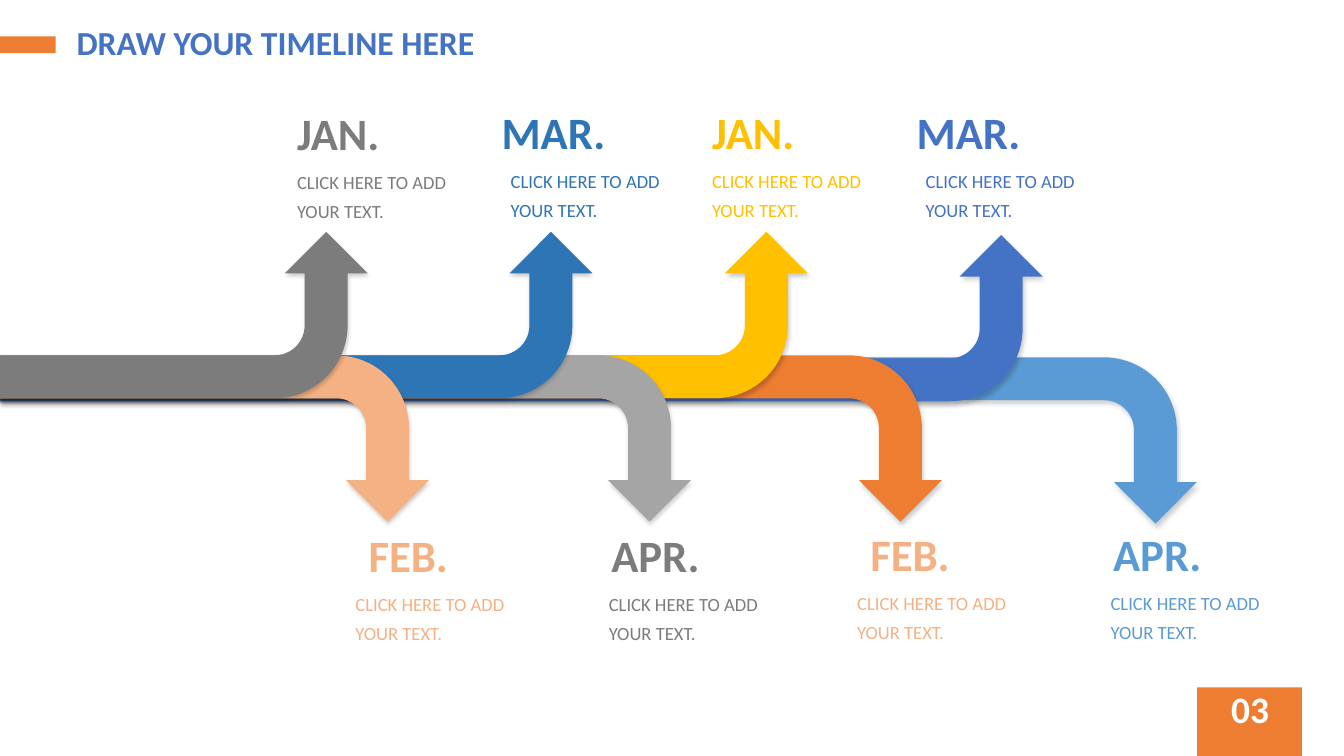
from lxml import etree
from pptx import Presentation
from pptx.dml.color import RGBColor
from pptx.enum.shapes import MSO_SHAPE
from pptx.enum.text import MSO_ANCHOR, MSO_AUTO_SIZE, PP_ALIGN
from pptx.oxml.ns import qn
from pptx.util import Pt

RECT, BENT = MSO_SHAPE.RECTANGLE, MSO_SHAPE.BENT_ARROW
TOP, MIDDLE = MSO_ANCHOR.TOP, MSO_ANCHOR.MIDDLE
LEFT, CENTER = PP_ALIGN.LEFT, PP_ALIGN.CENTER
NO_FIT, GROW = MSO_AUTO_SIZE.NONE, MSO_AUTO_SIZE.SHAPE_TO_FIT_TEXT

TITLE = "DRAW YOUR TIMELINE HERE"
PAGE = "03"
BODY = "CLICK HERE TO ADD YOUR TEXT."
FONT = "Calibri"
ORANGE, PEACH, GRAY, BLUE, SKY = "ED7D31", "F4B183", "7C7C7C", "4472C4", "5B9BD5"
NAVY, GOLD, SILVER = "2E75B6", "FFC000", "A5A5A5"

# month, points up, arrow colour, text colour, arrow length, arrow top, label left, label top
STEPS = [
    ("JAN.", True, GRAY, GRAY, 262.8, 165.6, 205.2, 72),
    ("FEB.", False, PEACH, PEACH, 306.7, 253.8, 256.3, 373),
    ("MAR.", True, NAVY, NAVY, 423.4, 165.6, 351.4, 71.3),
    ("APR.", False, SILVER, GRAY, 493.9, 253.8, 429.8, 373),
    ("JAN.", True, GOLD, GOLD, 577.4, 165.6, 501.8, 71.3),
    ("FEB.", False, ORANGE, PEACH, 673.2, 253.8, 614.9, 372.2),
    ("MAR.", True, BLUE, BLUE, 745.2, 167.8, 648, 71.3),
    ("APR.", False, SKY, SKY, 855.4, 255.2, 788.4, 372.2),
]
# month: (heading width, body text offset from heading)
MONTHS = {"JAN.": (74.2, 0), "FEB.": (72, -9.4), "MAR.": (89.3, 6.5), "APR.": (78.5, -1.8)}
ARROW_H = 118.8
ARROW_ADJ = (0.258, 0.25, 0.25, 0.438)
HEAD_H, BODY_W, BODY_H, BODY_DROP = 46, 146.2, 49, 41.8


def rgb(hex_code):
    """Return a colour from its hex string."""
    return RGBColor.from_string(hex_code)


def add_block(kind, x, y, w, h, color):
    """Add a filled shape without line or inherited shadow."""
    sp = s.shapes.add_shape(kind, Pt(x), Pt(y), Pt(w), Pt(h))
    sp.fill.solid()
    sp.fill.fore_color.rgb = rgb(color)
    sp.line.fill.background()
    sp.shadow.inherit = False
    return sp


def add_shadow(sp):
    """Give a shape a soft shadow straight below it."""
    effects = sp.element.spPr.find(qn("a:effectLst"))
    shadow = etree.SubElement(effects, qn("a:outerShdw"), blurRad=str(Pt(3.1)),
                              dist=str(Pt(1.8)), dir="5400000", algn="t", rotWithShape="0")
    black = etree.SubElement(shadow, qn("a:srgbClr"), val="000000")
    etree.SubElement(black, qn("a:alpha"), val="20000")


def add_arrow(length, top, up, color):
    """Add a bent arrow running from the left edge and turning up or down."""
    x = (length - ARROW_H) / 2
    y = top + (ARROW_H - length) / 2
    sp = add_block(BENT, x, y, ARROW_H, length, color)
    for i, value in enumerate(ARROW_ADJ):
        sp.adjustments[i] = value
    sp.rotation = 90 if up else 270
    xfrm = sp.element.spPr.find(qn("a:xfrm"))
    xfrm.set("flipH", "1")
    if not up:
        xfrm.set("flipV", "1")
    add_shadow(sp)


def add_text(text, x, y, w, h, sp=None, size=13.3, color=GRAY, bold=False, align=LEFT,
             anchor=MIDDLE, wrap=True, fit=GROW, spacing=1.0, before=0):
    """Write text into a new text box, or into the placeholder given as sp."""
    sp = sp or s.shapes.add_textbox(Pt(x), Pt(y), Pt(w), Pt(h))
    sp.left, sp.top, sp.width, sp.height = Pt(x), Pt(y), Pt(w), Pt(h)
    tf = sp.text_frame
    tf.word_wrap, tf.auto_size, tf.vertical_anchor = wrap, fit, anchor
    p = tf.paragraphs[0]
    p.alignment, p.line_spacing, p.space_before = align, spacing, Pt(before)
    r = p.add_run()
    r.text = text
    r.font.name, r.font.size, r.font.bold = FONT, Pt(size), bold
    r.font.color.rgb = rgb(color)


prs = Presentation()
prs.slide_width, prs.slide_height = Pt(960.5), Pt(540)
s = prs.slides.add_slide(prs.slide_layouts[5])

add_block(RECT, 0, 26, 39.8, 12, ORANGE)
add_block(RECT, 855.6, 491, 74.9, 49, ORANGE)
add_text(TITLE, 47.5, 9.4, 416.9, 45.4, sp=s.shapes.title, size=24, color=BLUE, bold=True,
         fit=NO_FIT, spacing=0.9, before=10)
add_text(PAGE, 856, 490.3, 74.9, 38.9, size=26.7, color="FFFFFF", bold=True, align=CENTER,
         anchor=TOP, fit=NO_FIT, spacing=0.9, before=10)

# The longest arrow lies at the back
for month, up, fill, color, length, top, x, y in reversed(STEPS):
    add_arrow(length, top, up, fill)

for month, up, fill, color, length, top, x, y in STEPS:
    width, shift = MONTHS[month]
    add_text(month, x, y, width, HEAD_H, size=32, color=color, bold=True, wrap=False)
    add_text(BODY, x + shift, y + BODY_DROP, BODY_W, BODY_H, color=color, spacing=1.3)

prs.save("out.pptx")
